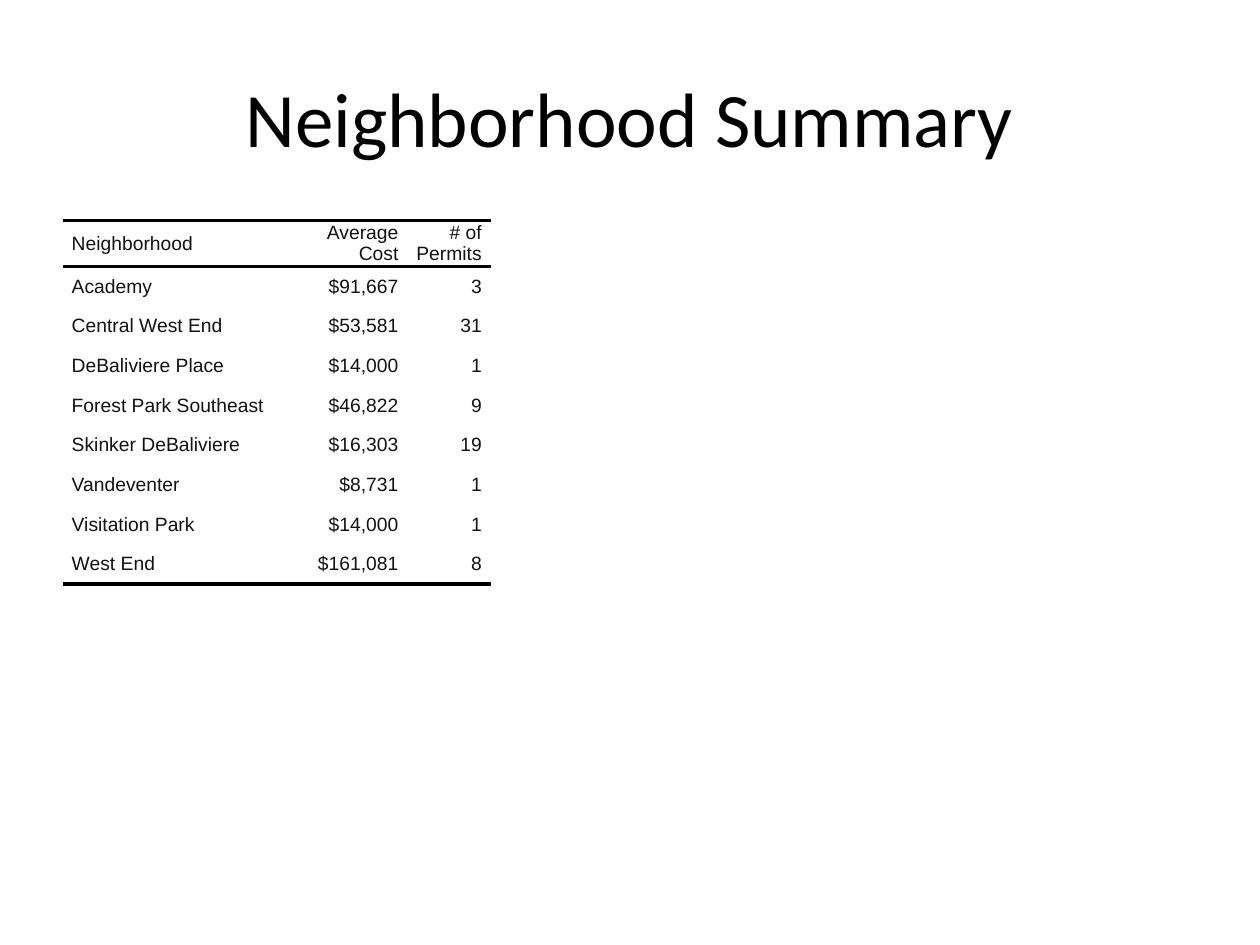
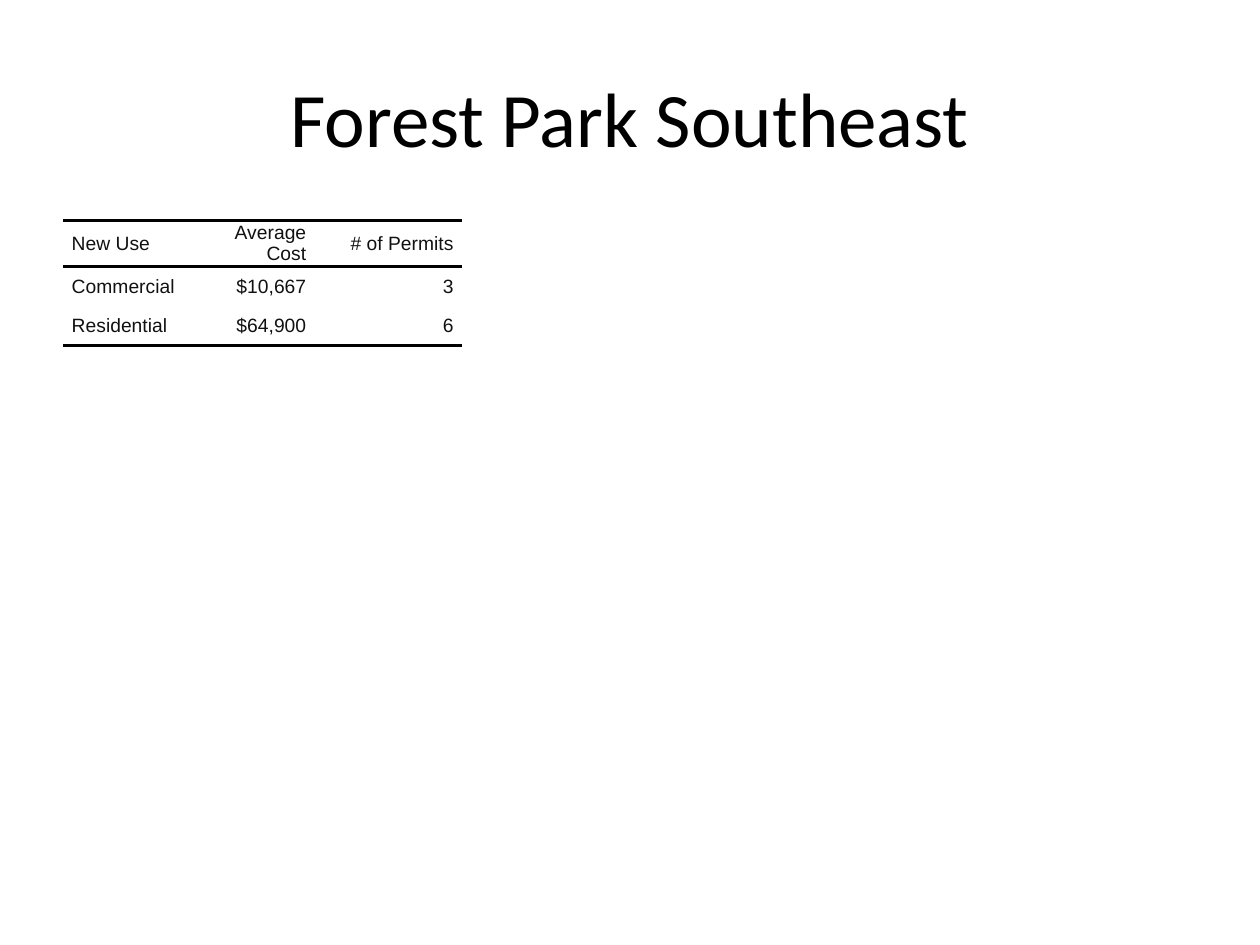
import dataclasses

import lxml.etree
import pptx
import pptx.dml.color
import pptx.enum.text
import pptx.oxml.ns
import pptx.presentation
import pptx.slide
import pptx.table
import pptx.text.text
import pptx.util

Cm = pptx.util.Cm
Pt = pptx.util.Pt
ALIGN = pptx.enum.text.PP_ALIGN
MIDDLE = pptx.enum.text.MSO_ANCHOR.MIDDLE

BLACK = pptx.dml.color.RGBColor(0x00, 0x00, 0x00)
INK = pptx.dml.color.RGBColor(0x11, 0x11, 0x11)
LEFT = Cm(1.27)
WIDTH = Cm(22.86)
ROW = Cm(0.8)
PAD = Pt(5)


@dataclasses.dataclass(frozen=True)
class Font:
    name: str
    size: int
    color: pptx.dml.color.RGBColor


@dataclasses.dataclass(frozen=True)
class Page:
    title: str
    widths: tuple[float, ...]
    rows: tuple[tuple[str, ...], ...]


HEAD = Font("Calibri", 44, BLACK)
BODY = Font("Arial", 11, INK)

PAGES = (
    Page(
        "Neighborhood Summary",
        (4.6, 2.34, 1.68),
        (
            ("Neighborhood", "Average Cost", "# of Permits"),
            ("Academy", "$91,667", "3"),
            ("Central West End", "$53,581", "31"),
            ("DeBaliviere Place", "$14,000", "1"),
            ("Forest Park Southeast", "$46,822", "9"),
            ("Skinker DeBaliviere", "$16,303", "19"),
            ("Vandeventer", "$8,731", "1"),
            ("Visitation Park", "$14,000", "1"),
            ("West End", "$161,081", "8"),
        ),
    ),
    Page(
        "Forest Park Southeast",
        (2.79, 2.29, 2.97),
        (
            ("New Use", "Average Cost", "# of Permits"),
            ("Commercial", "$10,667", "3"),
            ("Residential", "$64,900", "6"),
        ),
    ),
)


def add_run(para: pptx.text.text._Paragraph, text: str, font: Font) -> None:
    run = para.add_run()
    run.text = text
    run.font.name = font.name
    run.font.size = Pt(font.size)
    run.font.color.rgb = font.color


def add_title(slide: pptx.slide.Slide, text: str) -> None:
    box = slide.shapes.add_textbox(LEFT, Cm(0.76), WIDTH, Cm(3.18))
    frame = box.text_frame
    frame.word_wrap = True
    frame.vertical_anchor = MIDDLE
    para = frame.paragraphs[0]
    para.alignment = ALIGN.CENTER
    add_run(para, text, HEAD)


def set_lines(cell: pptx.table._Cell, top: bool, bottom: bool) -> None:
    qn = pptx.oxml.ns.qn
    props = cell._tc.get_or_add_tcPr()
    sides = (("L", False), ("R", False), ("T", top), ("B", bottom))
    for spot, (side, shown) in enumerate(sides):
        line = lxml.etree.Element(qn(f"a:ln{side}"))
        if shown:
            line.set("w", str(Pt(2)))
            fill = lxml.etree.SubElement(line, qn("a:solidFill"))
            lxml.etree.SubElement(fill, qn("a:srgbClr"), val=str(BLACK))
        else:
            lxml.etree.SubElement(line, qn("a:noFill"))
        props.insert(spot, line)


def fill_cell(cell: pptx.table._Cell, text: str, align: ALIGN) -> None:
    cell.fill.background()
    cell.vertical_anchor = MIDDLE
    cell.margin_left = cell.margin_right = 0
    cell.margin_top = cell.margin_bottom = 0
    para = cell.text_frame.paragraphs[0]
    para.alignment = align
    para.space_before = para.space_after = Pt(2)
    props = para._p.get_or_add_pPr()
    for side in ("marL", "marR"):
        props.set(side, str(PAD))
    props.set("indent", "0")
    add_run(para, text, BODY)


def add_grid(slide: pptx.slide.Slide, page: Page) -> None:
    count = len(page.rows)
    frame = slide.shapes.add_table(
        count, len(page.widths), LEFT, Cm(4.44), WIDTH, ROW * count
    )
    table = frame.table
    table.first_row = table.horz_banding = False
    for column, width in zip(table.columns, page.widths):
        column.width = Cm(width)
    for r, texts in enumerate(page.rows):
        table.rows[r].height = ROW
        for c, text in enumerate(texts):
            cell = table.cell(r, c)
            fill_cell(cell, text, ALIGN.RIGHT if c else ALIGN.LEFT)
            set_lines(cell, r < 2, r in (0, count - 1))
    frame.width, frame.height = WIDTH, Cm(12.57)


def add_page(deck: pptx.presentation.Presentation, page: Page) -> None:
    slide = deck.slides.add_slide(deck.slide_layouts[6])
    add_title(slide, page.title)
    add_grid(slide, page)


def main() -> None:
    deck = pptx.Presentation()
    deck.slide_width = Cm(25.4)
    deck.slide_height = Cm(19.05)
    for page in PAGES:
        add_page(deck, page)
    deck.save("out.pptx")


if __name__ == "__main__":
    main()
